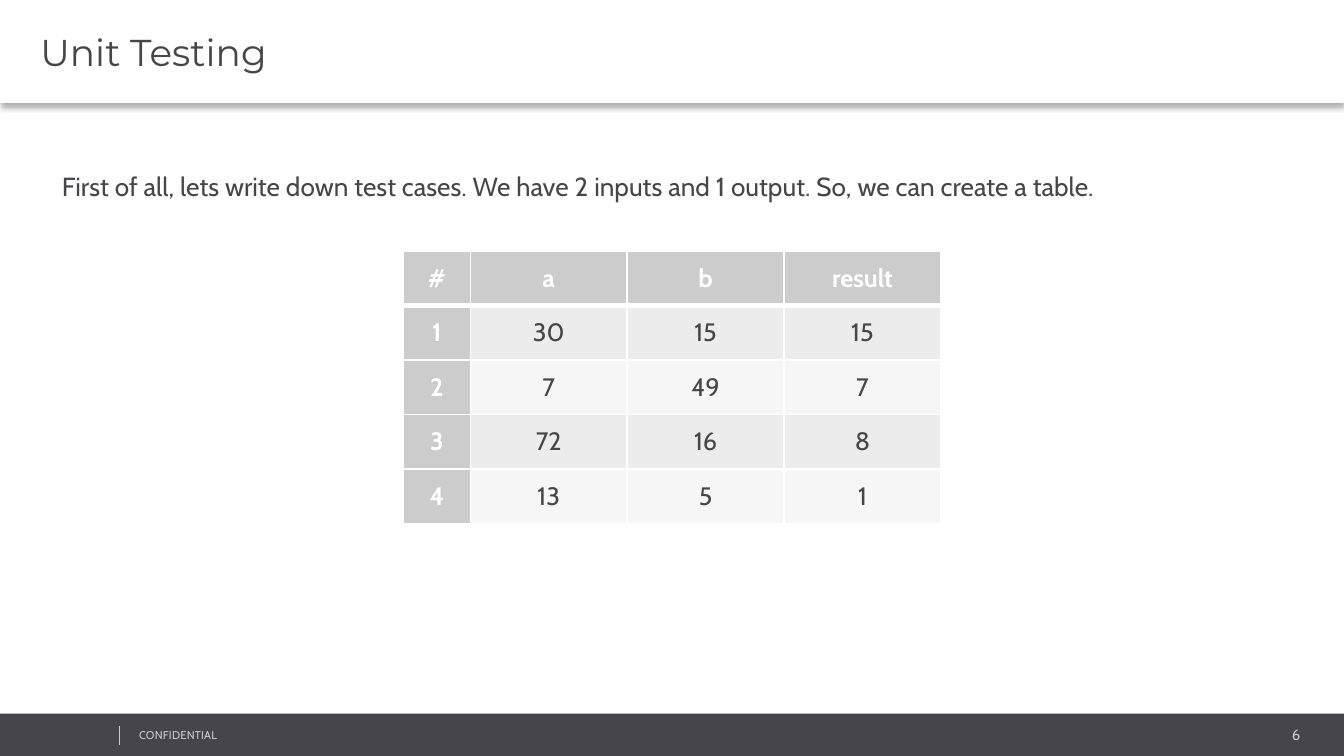
from lxml import etree
from pptx import Presentation
from pptx.dml.color import RGBColor
from pptx.enum.shapes import MSO_CONNECTOR as CONNECTOR, MSO_SHAPE as SHAPE
from pptx.enum.text import MSO_ANCHOR as ANCHOR, MSO_AUTO_SIZE as AUTO_SIZE, PP_ALIGN as ALIGN
from pptx.oxml.ns import qn
from pptx.util import Emu, Pt

EMU_PER_PX = 4572  # 200 px to the inch
COLORS = {
    "white": "FFFFFF",
    "dark": "464547",
    "grey": "CCCCCC",
    "odd_row": "ECECEC",
    "even_row": "F6F6F6",
    "shadow": "000000",
}
BODY_FONT = "Cabin"
TITLE_FONT = "Montserrat"
INTRO = (
    "First of all, lets write down test cases. We have 2 inputs and 1 output. "
    "So, we can create a table."
)
TEST_CASES = [
    ("#", "a", "b", "result"),
    ("1", "30", "15", "15"),
    ("2", "7", "49", "7"),
    ("3", "72", "16", "8"),
    ("4", "13", "5", "1"),
]


def px(length):
    return Emu(length * EMU_PER_PX)


def color(name):
    return RGBColor.from_string(COLORS[name])


def paint(target, name):
    target.fill.solid()
    target.fill.fore_color.rgb = color(name)


def place(shape, left, top, width, height):
    shape.left, shape.top = px(left), px(top)
    shape.width, shape.height = px(width), px(height)


def set_margins(frame, left=14):
    frame.margin_left, frame.margin_right = px(left), px(14)
    frame.margin_top = frame.margin_bottom = px(8)


def write(frame, text, size, color_name, font=BODY_FONT, align=ALIGN.LEFT, bold=False):
    """Fill a frame with one formatted paragraph and return it."""
    frame.text = text
    paragraph = frame.paragraphs[0]
    paragraph.alignment = align
    style = paragraph.runs[0].font
    style.name, style.size, style.bold = font, Pt(size), bold
    style.color.rgb = color(color_name)
    return paragraph


def add_shadow(shape):
    """Cast a soft shadow straight down."""
    effects = etree.SubElement(shape._element.spPr, qn("a:effectLst"))
    outer = etree.SubElement(
        effects, qn("a:outerShdw"), blurRad=str(Pt(3.1)), dist=str(Pt(2)),
        dir="5400000", algn="t", rotWithShape="0",
    )
    tint = etree.SubElement(outer, qn("a:srgbClr"), val=COLORS["shadow"])
    etree.SubElement(tint, qn("a:alpha"), val="30000")


def add_title(slide):
    title = slide.shapes.title
    place(title, 0, 0, 2000, 153)
    paint(title, "white")
    add_shadow(title)
    frame = title.text_frame
    frame.auto_size = AUTO_SIZE.NONE
    frame.vertical_anchor = ANCHOR.MIDDLE
    set_margins(frame, left=60)
    write(frame, "Unit Testing", 20, "dark", font=TITLE_FONT)


def remove_bullet(paragraph):
    properties = paragraph._p.get_or_add_pPr()
    properties.set("marL", "0")
    properties.set("indent", "0")
    etree.SubElement(properties, qn("a:buNone"))


def add_intro(slide):
    body = slide.placeholders[1]
    place(body, 78, 236, 1822, 742)
    frame = body.text_frame
    frame.auto_size = AUTO_SIZE.NONE
    set_margins(frame)
    paragraph = write(frame, INTRO, 14, "dark")
    remove_bullet(paragraph)
    paragraph.line_spacing = 1.2
    paragraph.space_before = Pt(0)
    paragraph.space_after = Pt(7.5)


def add_borders(cell, bottom_width):
    properties = cell._tc.get_or_add_tcPr()
    for side, width in (("L", 1), ("R", 1), ("T", 1), ("B", bottom_width)):
        line = etree.SubElement(properties, qn(f"a:ln{side}"), w=str(Pt(width)))
        fill = etree.SubElement(line, qn("a:solidFill"))
        etree.SubElement(fill, qn("a:srgbClr"), val=COLORS["white"])


def add_test_table(slide):
    column_widths = [100, 233, 234, 233]
    row_height = 81
    table = slide.shapes.add_table(
        len(TEST_CASES), len(column_widths), px(600), px(374),
        px(sum(column_widths)), px(row_height * len(TEST_CASES)),
    ).table
    for column, width in zip(table.columns, column_widths):
        column.width = px(width)
    for r, case in enumerate(TEST_CASES):
        table.rows[r].height = px(row_height)
        for c, value in enumerate(case):
            cell = table.cell(r, c)
            is_heading = r == 0 or c == 0
            add_borders(cell, bottom_width=3 if r == 0 else 1)
            band = "odd_row" if r % 2 else "even_row"
            paint(cell, "grey" if is_heading else band)
            cell.vertical_anchor = ANCHOR.MIDDLE
            write(cell.text_frame, value, 13.5, "white" if is_heading else "dark",
                  align=ALIGN.CENTER, bold=is_heading)


def add_footer_text(slide, text, box, size, align=ALIGN.LEFT):
    frame = slide.shapes.add_textbox(*map(px, box)).text_frame
    frame.word_wrap = True
    set_margins(frame)
    return write(frame, text, size, "grey", align=align)


def add_footer(slide):
    bar = slide.shapes.add_shape(SHAPE.RECTANGLE, px(0), px(1062), px(2002), px(66))
    bar.shadow.inherit = False
    paint(bar, "dark")
    bar.line.fill.background()

    add_footer_text(slide, "6", (1623, 1072, 326, 42), 8, ALIGN.RIGHT)
    notice = add_footer_text(slide, "CONFIDENTIAL", (193, 1076, 506, 36), 6)
    notice.runs[0]._r.get_or_add_rPr().set("spc", "10")

    divider = slide.shapes.add_connector(
        CONNECTOR.STRAIGHT, px(178), px(1080), px(178), px(1108))
    divider.line.color.rgb = color("grey")
    divider.line.width = Pt(0.25)
    etree.SubElement(divider._element.spPr, qn("a:effectLst"))


def main():
    deck = Presentation()
    deck.slide_width, deck.slide_height = px(2000), px(1125)
    slide = deck.slides.add_slide(deck.slide_layouts[1])
    add_footer(slide)
    add_intro(slide)
    add_title(slide)
    add_test_table(slide)
    deck.save("out.pptx")


if __name__ == "__main__":
    main()
